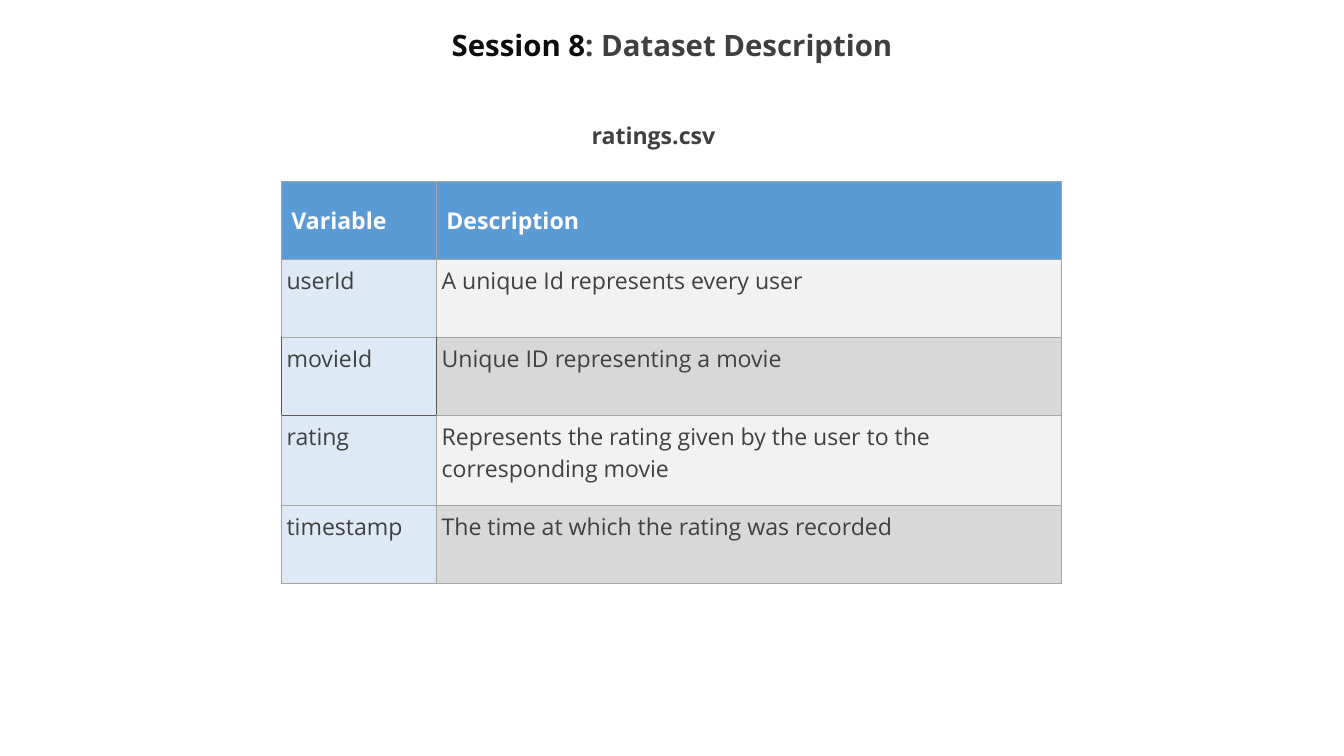
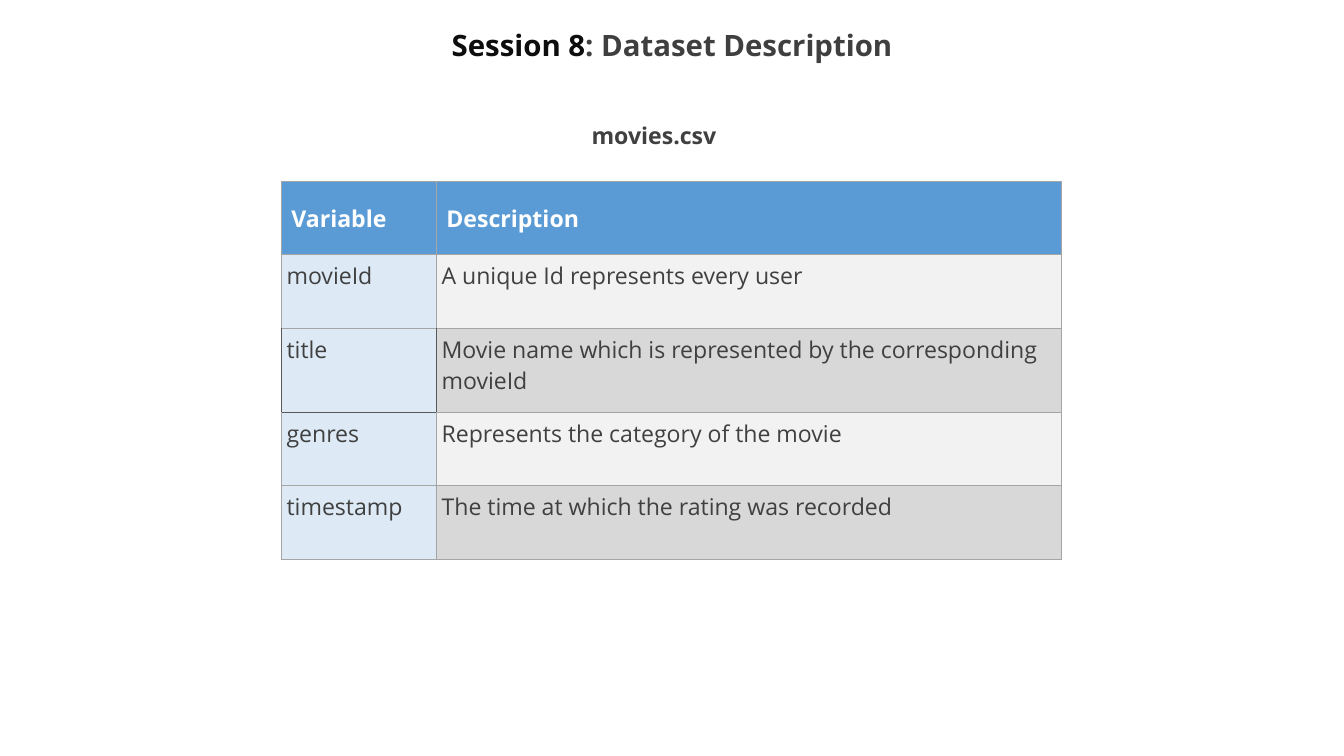
from dataclasses import dataclass

from lxml import etree
from pptx import Presentation
from pptx.dml.color import RGBColor
from pptx.enum import text
from pptx.oxml import ns
from pptx.util import Cm, Pt


@dataclass(frozen=True)
class Theme:
    font: str = "Open Sans"
    large: int = 28
    body: int = 22
    black: str = "0D0D0D"
    grey: str = "3F3F3F"
    ink: str = "404040"
    white: str = "FFFFFF"
    head: str = "5B9BD5"
    key: str = "DDEAF6"
    bands: tuple = ("F2F2F2", "D8D8D8")
    line: str = "A5A5A5"
    dark: str = "595959"


THEME = Theme()
WIDTH = 45.16
DARK = {(2, 0): "LRB", (2, 1): "L", (3, 0): "T"}

FILES = [
    ("ratings.csv", [2.62, 2.62, 2.62, 3.02, 2.62], [
        ("userId", "A unique Id represents every user"),
        ("movieId", "Unique ID representing a movie"),
        ("rating", "Represents the rating given by the user to the corresponding movie"),
        ("timestamp", "The time at which the rating was recorded"),
    ]),
    ("movies.csv", [2.46, 2.46, 2.84, 2.46, 2.46], [
        ("movieId", "A unique Id represents every user"),
        ("title", "Movie name which is represented by the corresponding movieId"),
        ("genres", "Represents the category of the movie"),
        ("timestamp", "The time at which the rating was recorded"),
    ]),
]


def style(run, size, color, bold=True):
    font = run.font
    font.name = THEME.font
    font.size = Pt(size)
    font.bold = bold
    font.color.rgb = RGBColor.from_string(color)


def add_text(slide, box, parts, size):
    frame = slide.shapes.add_textbox(*map(Cm, box)).text_frame
    frame.word_wrap = True
    para = frame.paragraphs[0]
    for words, color in parts:
        run = para.add_run()
        run.text = words
        style(run, size, color)
    return frame


def add_title(slide):
    parts = [("Session 8", THEME.black), (": Dataset Description", THEME.grey)]
    frame = add_text(slide, (0, 0.64, WIDTH, 1.9), parts, THEME.large)
    frame.vertical_anchor = text.MSO_ANCHOR.MIDDLE
    para = frame.paragraphs[0]
    para.alignment = text.PP_ALIGN.CENTER
    para.line_spacing = 0.9


def set_edges(cell, dark):
    props = cell._tc.get_or_add_tcPr()
    for side in "LRTB":
        color, width = (THEME.dark, 0.75) if side in dark else (THEME.line, 1)
        line = etree.SubElement(props, ns.qn(f"a:ln{side}"), w=str(Pt(width)))
        fill = etree.SubElement(line, ns.qn("a:solidFill"))
        etree.SubElement(fill, ns.qn("a:srgbClr"), val=color)


def fill_cell(cell, words, row, col):
    head = row == 0
    set_edges(cell, DARK.get((row, col), ""))
    if head:
        color = THEME.head
    else:
        color = THEME.bands[(row - 1) % 2] if col else THEME.key
    cell.fill.solid()
    cell.fill.fore_color.rgb = RGBColor.from_string(color)
    cell.margin_left = cell.margin_right = Cm(0.34 if head else 0.18)
    cell.margin_top = cell.margin_bottom = Cm(0.18)
    cell.vertical_anchor = text.MSO_ANCHOR.MIDDLE if head else text.MSO_ANCHOR.TOP
    cell.text_frame.text = words
    run = cell.text_frame.paragraphs[0].runs[0]
    style(run, THEME.body, THEME.white if head else THEME.ink, head)


def add_grid(slide, heights, fields):
    widths = [5.21, 21.01]
    rows = [("Variable", "Description"), *fields]
    box = map(Cm, (9.45, 6.1, sum(widths), sum(heights)))
    grid = slide.shapes.add_table(len(rows), len(widths), *box).table
    grid.first_row = grid.horz_banding = False
    for column, width in zip(grid.columns, widths):
        column.width = Cm(width)
    for row, (height, words) in enumerate(zip(heights, rows)):
        grid.rows[row].height = Cm(height)
        for col, word in enumerate(words):
            fill_cell(grid.cell(row, col), word, row, col)


def main():
    deck = Presentation()
    deck.slide_width, deck.slide_height = Cm(WIDTH), Cm(25.4)
    for name, heights, fields in FILES:
        slide = deck.slides.add_slide(deck.slide_layouts[6])
        add_title(slide)
        add_grid(slide, heights, fields)
        add_text(slide, (19.63, 3.94, 5.89, 1.19), [(name, THEME.ink)], THEME.body)
    deck.save("out.pptx")


if __name__ == "__main__":
    main()
